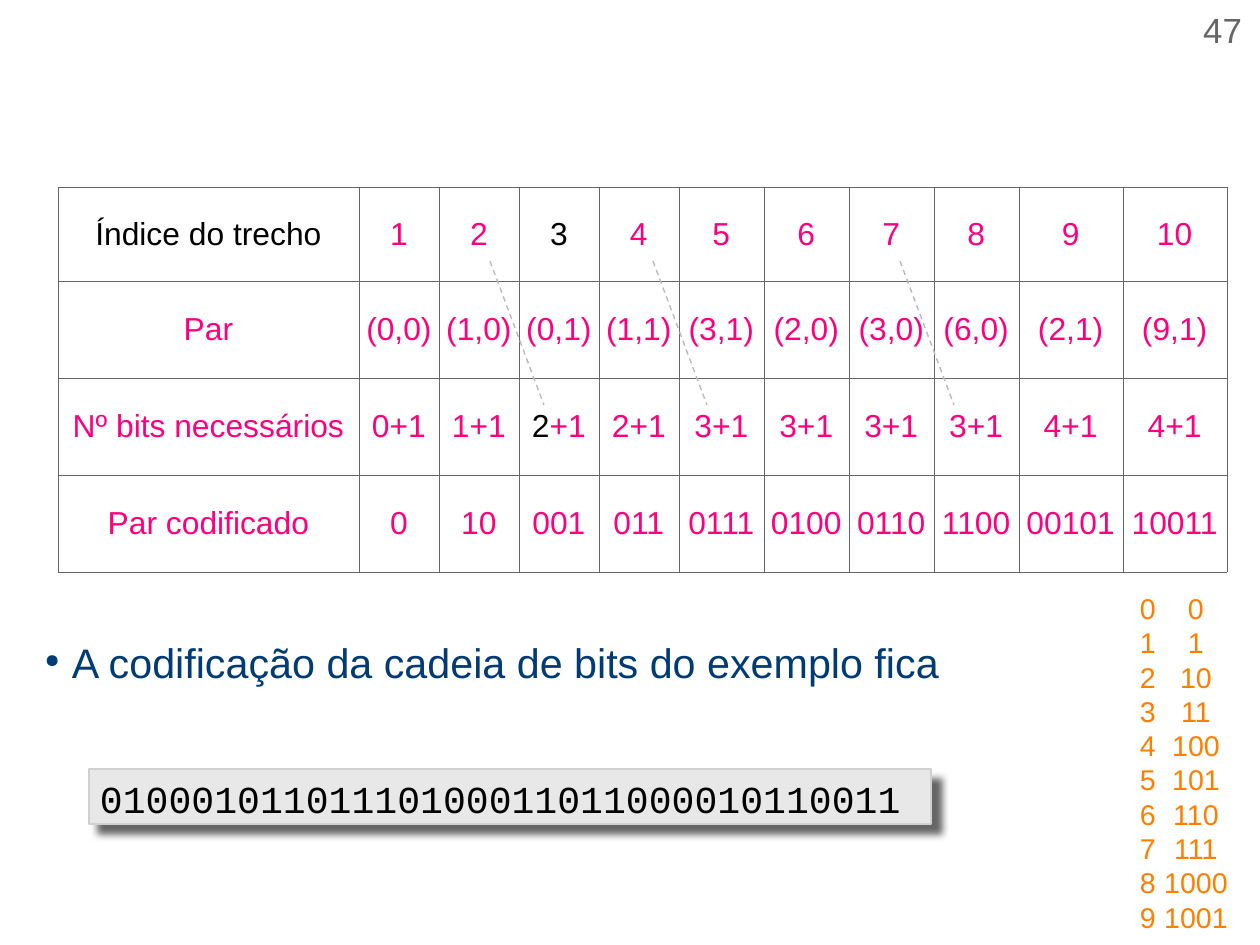
from lxml import etree
from pptx import Presentation
from pptx.dml.color import RGBColor
from pptx.enum.dml import MSO_LINE
from pptx.enum.shapes import MSO_CONNECTOR, MSO_SHAPE
from pptx.enum.text import MSO_ANCHOR, MSO_AUTO_SIZE, PP_ALIGN
from pptx.oxml.ns import qn
from pptx.util import Pt

SCALE = 8000  # EMU per px
WIDTH, HEIGHT = 1260, 945
CENTER, RIGHT, LEFT = PP_ALIGN.CENTER, PP_ALIGN.RIGHT, PP_ALIGN.LEFT
TOP, MIDDLE = MSO_ANCHOR.TOP, MSO_ANCHOR.MIDDLE
DASH, STRAIGHT, RECTANGLE = MSO_LINE.DASH, MSO_CONNECTOR.STRAIGHT, MSO_SHAPE.RECTANGLE
NO_GROW = MSO_AUTO_SIZE.NONE

COLORS = {
    "black": "000000", "pink": "FE007F", "navy": "003B76", "orange": "FE7F00",
    "gray": "666666", "panel": "E8E8E8", "panel edge": "D0D0D0", "guide": "BABABA",
}

INDEX_ROWS = [
    ["Índice do trecho"] + [str(number) for number in range(1, 11)],
    ["Par", "(0,0)", "(1,0)", "(0,1)", "(1,1)", "(3,1)", "(2,0)", "(3,0)", "(6,0)", "(2,1)", "(9,1)"],
    ["Nº bits necessários", "0+1", "1+1", "2+1", "2+1"] + ["3+1"] * 4 + ["4+1"] * 2,
    ["Par codificado", "0", "10", "001", "011", "0111", "0100", "0110", "1100", "00101", "10011"],
]
COLUMN_WIDTHS = [301] + [80] * 4 + [85] * 4 + [104] * 2
ROW_HEIGHTS = [94] + [97] * 3
# Leading characters set in black, by (row, column)
BLACK_LENGTHS = {(0, 0): len(INDEX_ROWS[0][0]), (0, 3): 1, (2, 3): 1}


def px(length):
    return length * SCALE


def rgb(name):
    return RGBColor.from_string(COLORS[name])


def add_element(parent, tag, **attributes):
    element = etree.SubElement(parent, qn(tag))
    for name, value in attributes.items():
        element.set(name, str(value))
    return element


def add_color(parent, name):
    return add_element(parent, "a:srgbClr", val=COLORS[name])


class SlideBuilder:
    def __init__(self, slide, font="Arial"):
        self.slide = slide
        self.font = font

    def run(self, paragraph, text, size, color, font=None):
        run = paragraph.add_run()
        run.text = text
        style = {"size": Pt(size), "name": font or self.font, "bold": False}
        for name, value in style.items():
            setattr(run.font, name, value)
        run.font.color.rgb = rgb(color)

    def frame(self, text_frame, margins, anchor=TOP, wrap=True):
        horizontal, vertical = map(px, margins)
        layout = {
            "margin_left": horizontal, "margin_right": horizontal,
            "margin_top": vertical, "margin_bottom": vertical,
            "vertical_anchor": anchor, "word_wrap": wrap, "auto_size": NO_GROW,
        }
        for name, value in layout.items():
            setattr(text_frame, name, value)

    def text(self, box, lines, size, color, align=LEFT, margins=(0, 0), tab=None):
        shape = self.slide.shapes.add_textbox(*map(px, box))
        text_frame = shape.text_frame
        self.frame(text_frame, margins)
        for number, line in enumerate(lines):
            paragraph = text_frame.add_paragraph() if number else text_frame.paragraphs[0]
            paragraph.alignment = align
            if tab:
                tabs = add_element(paragraph._p.get_or_add_pPr(), "a:tabLst")
                add_element(tabs, "a:tab", pos=px(tab), algn="ctr")
            self.run(paragraph, line, size, color)
        return shape

    def bullet(self, box, text, size, color, indent):
        shape = self.text(box, [text], size, color)
        paragraph = shape.text_frame.paragraphs[0]
        properties = paragraph._p.get_or_add_pPr()
        properties.set("marL", str(px(indent)))
        properties.set("indent", str(-px(indent)))
        add_color(add_element(properties, "a:buClr"), color)
        add_element(properties, "a:buSzPct", val=45000)
        add_element(properties, "a:buChar", char="●")
        paragraph.line_spacing = 1.15

    def table(self, left, top, rows, widths, heights, size):
        box = (left, top, sum(widths), sum(heights))
        table = self.slide.shapes.add_table(len(rows), len(widths), *map(px, box)).table
        table.first_row = table.horz_banding = False
        for column, width in zip(table.columns, widths):
            column.width = px(width)
        for row, height in zip(table.rows, heights):
            row.height = px(height)
        for row_number, row in enumerate(rows):
            for column_number, text in enumerate(row):
                black = BLACK_LENGTHS.get((row_number, column_number), 0)
                self.cell(table.cell(row_number, column_number), text, black, size)

    def cell(self, cell, text, black, size):
        cell.margin_left = cell.margin_right = px(5)
        cell.margin_top = cell.margin_bottom = px(6)
        cell.vertical_anchor = MIDDLE
        paragraph = cell.text_frame.paragraphs[0]
        paragraph.alignment = CENTER
        for part, color in ((text[:black], "black"), (text[black:], "pink")):
            if part:
                self.run(paragraph, part, size, color)
        properties = cell._tc.get_or_add_tcPr()
        for side in "LRTB":
            border = add_element(properties, f"a:ln{side}", w=int(Pt(0.06)))
            add_color(add_element(border, "a:solidFill"), "gray")
        cell.fill.background()

    def panel(self, box, text, size, font):
        shape = self.slide.shapes.add_shape(RECTANGLE, *map(px, box))
        shape.fill.solid()
        shape.fill.fore_color.rgb = rgb("panel")
        shape.line.color.rgb = rgb("panel edge")
        shape.line.width = Pt(0.85)
        shape.shadow.inherit = False
        effects = shape._element.spPr.find(qn("a:effectLst"))
        shadow = add_element(effects, "a:outerShdw", blurRad=int(Pt(5)), dist=int(Pt(8)),
                             dir=45 * 60000, algn="tl", rotWithShape=0)
        add_color(shadow, "gray")
        self.frame(shape.text_frame, (11, 6))
        paragraph = shape.text_frame.paragraphs[0]
        paragraph.alignment = LEFT
        self.run(paragraph, text, size, "black", font)

    def dashed_line(self, start, end):
        connector = self.slide.shapes.add_connector(STRAIGHT, *map(px, start + end))
        connector.line.color.rgb = rgb("guide")
        connector.line.width = Pt(0.85)
        connector.line.dash_style = DASH
        add_element(connector._element.spPr, "a:effectLst")


def main():
    presentation = Presentation()
    presentation.slide_width, presentation.slide_height = px(WIDTH), px(HEIGHT)
    builder = SlideBuilder(presentation.slides.add_slide(presentation.slide_layouts[6]))

    # Statement and table of pairs
    builder.bullet((45, 630, 1170, 293), "A codificação da cadeia de bits do exemplo fica",
                   26, "navy", 27)
    builder.table(58, 187, INDEX_ROWS, COLUMN_WIDTHS, ROW_HEIGHTS, 20)

    # Encoded bit string
    builder.panel((89, 769, 842, 55), "01000101101110100011011000010110011", 24, "Courier New")

    # Guides from index to bit count
    for left in (900, 653, 490):
        builder.dashed_line((left, 261), (left + 54, 405))

    # Decimal to binary list
    binary_lines = [f"{number}\t{number:b}" for number in range(10)]
    builder.text((1129, 585, 117, 331), binary_lines, 18, "orange", margins=(11, 6), tab=56)

    # Page number
    builder.text((930, 9, 312, 53), ["47"], 22, "gray", align=RIGHT)

    presentation.save("out.pptx")


if __name__ == "__main__":
    main()
